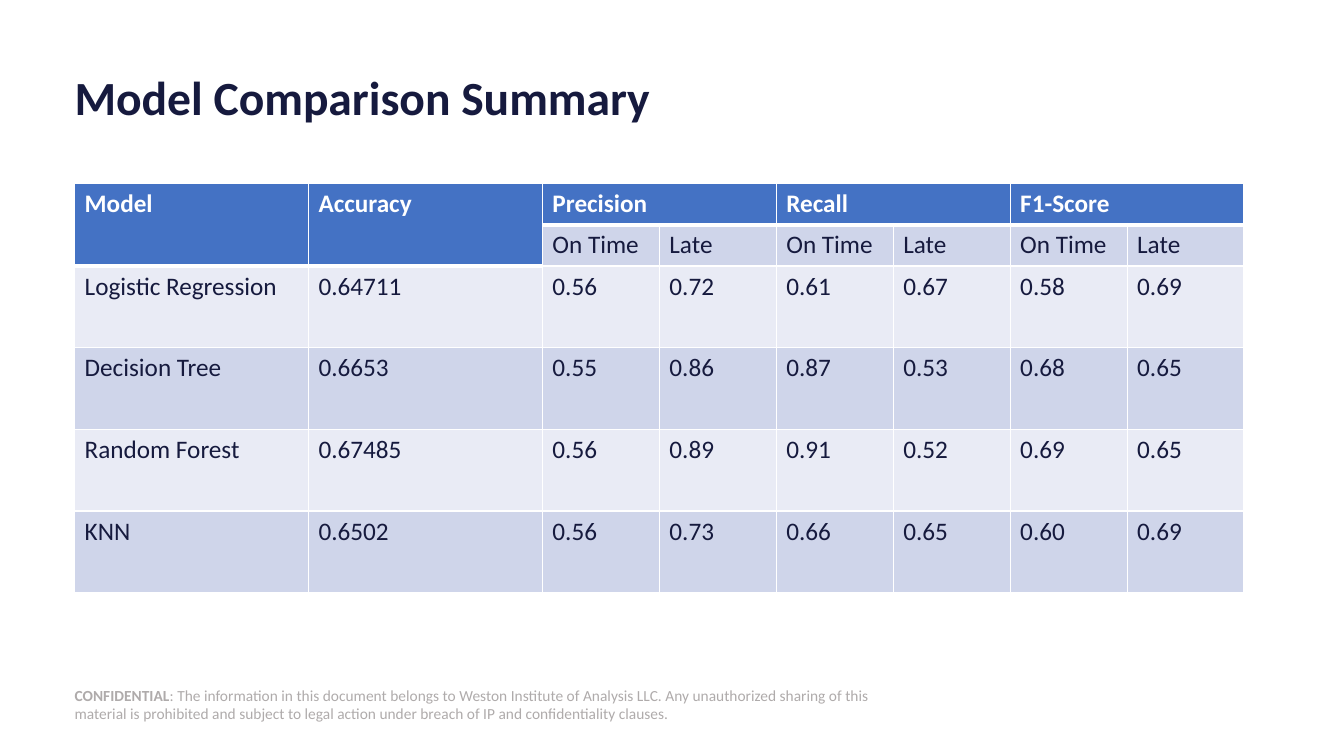
from lxml import etree
from pptx import Presentation
from pptx.dml.color import RGBColor
from pptx.enum.shapes import MSO_SHAPE
from pptx.enum.text import MSO_ANCHOR, MSO_AUTO_SIZE, PP_ALIGN
from pptx.oxml.ns import qn
from pptx.util import Inches, Pt

RECTANGLE = MSO_SHAPE.RECTANGLE
MIDDLE = MSO_ANCHOR.MIDDLE
LEFT = PP_ALIGN.LEFT
NO_AUTOFIT = MSO_AUTO_SIZE.NONE

FONT = "Calibri"
NAVY = "161A3E"
WHITE = "FFFFFF"
GRAY = "AFABAB"
BLUE = "4472C4"
BANDS = ["E9EBF5", "CFD5EA"]

LEFT_EDGE = 0.74
COLUMN_WIDTHS = [2.32] * 2 + [1.16] * 6
ROW_HEIGHTS = [0.41] * 2 + [0.81] * 4
METRICS = ["Precision", "Recall", "F1-Score"]
ROWS = [
    ["Model", "Accuracy"] + [text for metric in METRICS for text in (metric, "")],
    ["", ""] + ["On Time", "Late"] * len(METRICS),
    ["Logistic Regression", "0.64711", "0.56", "0.72", "0.61", "0.67", "0.58", "0.69"],
    ["Decision Tree", "0.6653", "0.55", "0.86", "0.87", "0.53", "0.68", "0.65"],
    ["Random Forest", "0.67485", "0.56", "0.89", "0.91", "0.52", "0.69", "0.65"],
    ["KNN", "0.6502", "0.56", "0.73", "0.66", "0.65", "0.60", "0.69"],
]
CONFIDENTIALITY = (
    ": The information in this document belongs to Weston Institute of Analysis LLC. "
    "Any unauthorized sharing of this material is prohibited and subject to legal "
    "action under breach of IP and confidentiality clauses."
)


def color(hex_string):
    return RGBColor.from_string(hex_string)


def add_text(paragraph, text, size=18, fill=NAVY, bold=False):
    run = paragraph.add_run()
    run.text = text
    run.font.name = FONT
    run.font.size = Pt(size)
    run.font.bold = bold
    run.font.color.rgb = color(fill)


def prepare_frame(text_frame):
    text_frame.margin_left = text_frame.margin_right = 0
    text_frame.margin_top = text_frame.margin_bottom = 0
    text_frame.word_wrap = True
    text_frame.auto_size = NO_AUTOFIT
    text_frame.vertical_anchor = MIDDLE
    paragraph = text_frame.paragraphs[0]
    paragraph.alignment = LEFT
    return paragraph


def add_title(slide, text):
    title = slide.shapes.title
    title.left, title.top = Inches(LEFT_EDGE), Inches(0.66)
    title.width, title.height = Inches(11.85), Inches(0.67)
    paragraph = prepare_frame(title.text_frame)
    paragraph.line_spacing = 0.9
    add_text(paragraph, text, size=34, bold=True)


def add_footer(slide):
    footer = slide.shapes.add_shape(
        RECTANGLE, Inches(LEFT_EDGE), Inches(6.79), Inches(8.17), Inches(0.4)
    )
    footer.shadow.inherit = False
    footer.fill.solid()
    footer.fill.fore_color.rgb = color(WHITE)
    footer.line.fill.background()
    paragraph = prepare_frame(footer.text_frame)
    add_text(paragraph, "CONFIDENTIAL", size=11, fill=GRAY, bold=True)
    add_text(paragraph, CONFIDENTIALITY, size=11, fill=GRAY)


def set_borders(cell, widths):
    properties = cell._tc.get_or_add_tcPr()
    for side, width in widths.items():
        line = etree.SubElement(properties, qn(f"a:ln{side}"), w=str(Pt(width)))
        solid = etree.SubElement(line, qn("a:solidFill"))
        etree.SubElement(solid, qn("a:srgbClr"), val=WHITE)


def format_cell(cell, text, is_header, fill, borders):
    set_borders(cell, borders)
    cell.fill.solid()
    cell.fill.fore_color.rgb = color(fill)
    if text:
        text_color = WHITE if is_header else NAVY
        add_text(cell.text_frame.paragraphs[0], text, fill=text_color, bold=is_header)


def add_comparison_table(slide):
    table = slide.shapes.add_table(
        len(ROWS), len(COLUMN_WIDTHS), Inches(LEFT_EDGE), Inches(1.82),
        Inches(sum(COLUMN_WIDTHS)), Inches(sum(ROW_HEIGHTS)),
    ).table
    for column, width in zip(table.columns, COLUMN_WIDTHS):
        column.width = Inches(width)
    for row, height in zip(table.rows, ROW_HEIGHTS):
        row.height = Inches(height)
    for column in range(2):
        table.cell(0, column).merge(table.cell(1, column))
    for column in range(2, len(COLUMN_WIDTHS), 2):
        table.cell(0, column).merge(table.cell(0, column + 1))
    for row, texts in enumerate(ROWS):
        for column, text in enumerate(texts):
            is_header = row == 0 or (row == 1 and column < 2)
            below_header = row == 1 and column >= 2 or row == 2 and column < 2
            borders = {"L": 1, "R": 1, "T": 3 if below_header else 1,
                       "B": 3 if is_header else 1}
            fill = BLUE if is_header else BANDS[row % 2]
            format_cell(table.cell(row, column), text, is_header, fill, borders)


def main():
    presentation = Presentation()
    presentation.slide_width = Inches(13.33)
    presentation.slide_height = Inches(7.5)
    slide = presentation.slides.add_slide(presentation.slide_layouts[5])
    add_footer(slide)
    add_title(slide, "Model Comparison Summary")
    add_comparison_table(slide)
    presentation.save("out.pptx")


if __name__ == "__main__":
    main()
